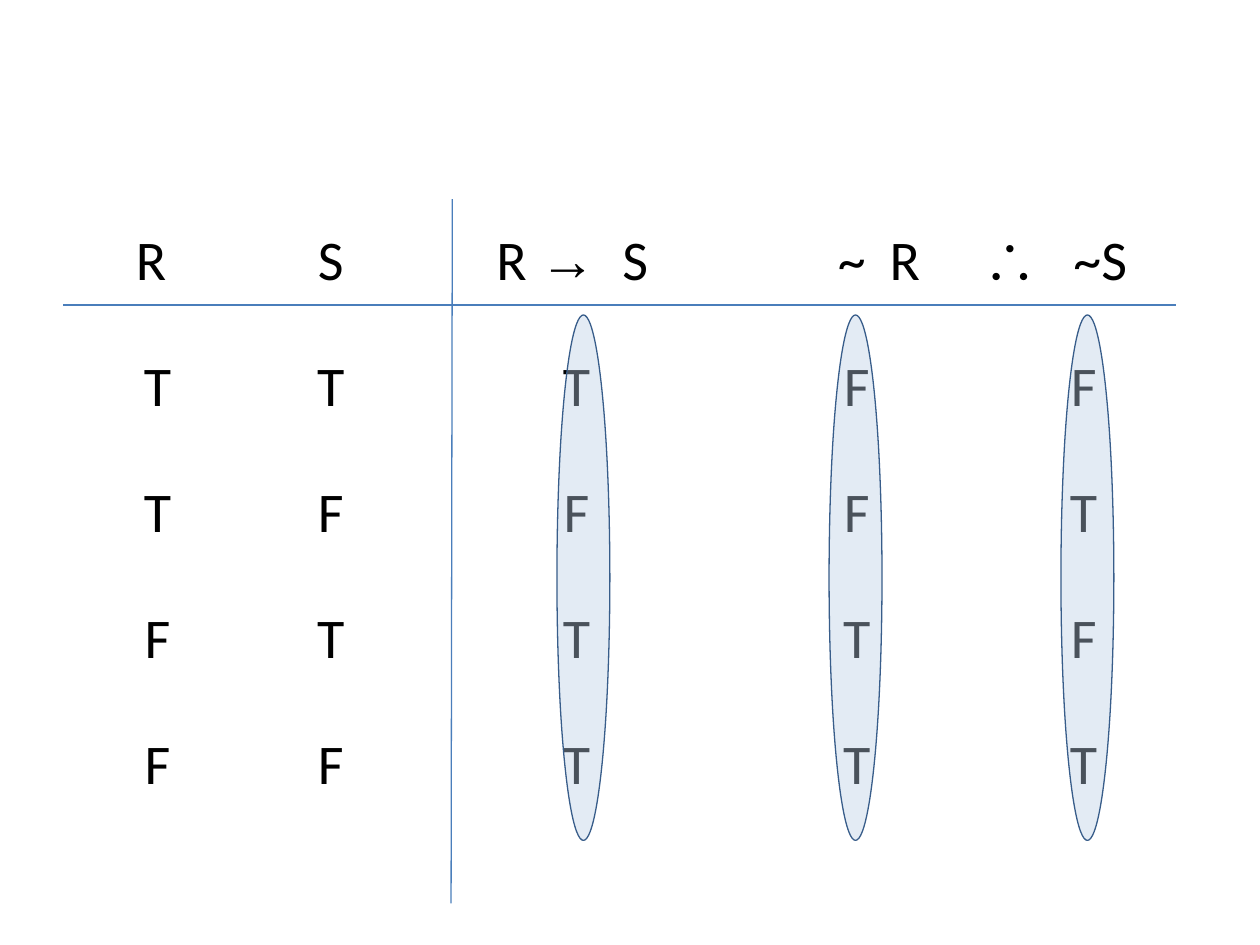
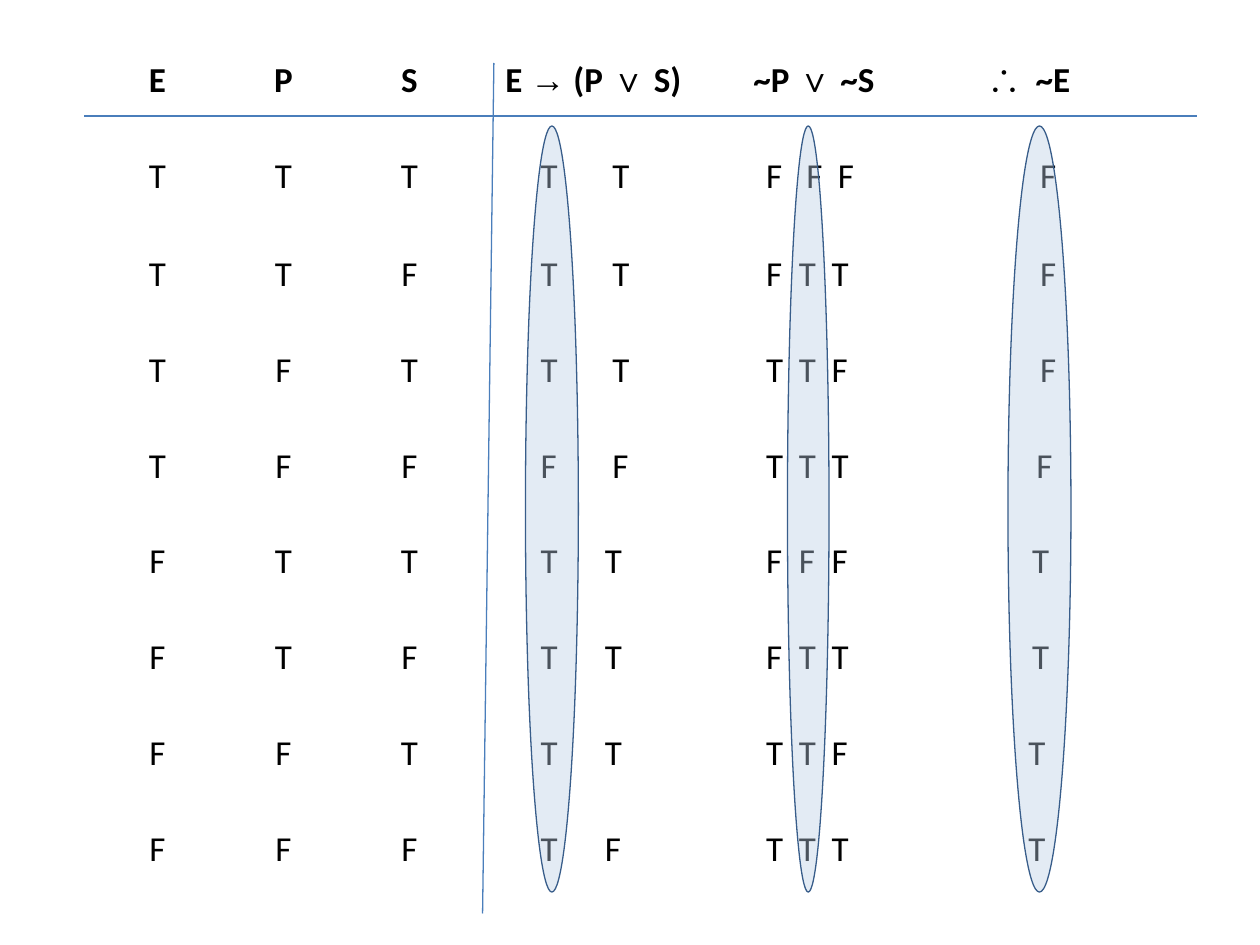
"""Builds two truth-table slides that test arguments for validity."""
from dataclasses import dataclass
from itertools import groupby, product

from lxml import etree
from pptx import Presentation
from pptx.dml.color import RGBColor
from pptx.enum.shapes import MSO_CONNECTOR, MSO_SHAPE
from pptx.enum.text import PP_ALIGN
from pptx.oxml.ns import qn
from pptx.util import Inches, Pt

LEFT, CENTER = PP_ALIGN.LEFT, PP_ALIGN.CENTER
STRAIGHT, OVAL = MSO_CONNECTOR.STRAIGHT, MSO_SHAPE.OVAL


@dataclass(frozen=True)
class Theme:
    ink: RGBColor = RGBColor.from_string("000000")
    rule: RGBColor = RGBColor.from_string("4A7EBB")
    ring: RGBColor = RGBColor.from_string("B9CDE5")
    edge: RGBColor = RGBColor.from_string("385D8A")
    alpha: int = 40000
    body: str = "Calibri"
    logic: str = "Arial"
    large: int = 32
    small: int = 20
    pad: float = 0.1


theme = Theme()


def put(cell, text, size=theme.small, bold=False, left=theme.pad,
        right=theme.pad, stops=(), align=CENTER):
    cell.fill.background()
    cell.margin_left, cell.margin_right = Inches(left), Inches(right)
    para = cell.text_frame.paragraphs[0]
    para.alignment = align
    if stops:
        tabs = etree.SubElement(para._p.get_or_add_pPr(), qn("a:tabLst"))
        for stop in stops:
            etree.SubElement(tabs, qn("a:tab"), pos=str(Inches(stop)), algn="l")
    for logic, chars in groupby(text, key=lambda char: char in "→∨∴"):
        run = para.add_run()
        run.text = "".join(chars)
        run.font.name = theme.logic if logic else theme.body
        run.font.size, run.font.bold = Pt(size), bold
        run.font.color.rgb = theme.ink


short = {
    "size": theme.large, "bold": False,
    "at": (0.5, 1.75), "cols": (1.5, 1.25, 2.65, 1.8, 1.8), "rows": [1] * 5,
    "grid": [["R", "S", "R →\tS", "~\tR", "∴\t~S"]],
    "starts": {(0, 2): (3.94, 4.94), (0, 3): (6.65, 7.06), (0, 4): (7.8, 8.52)},
    "pads": {(0, 0): {"right": 0.2}},
    "rules": [(3.59, 1.58, 3.58, 7.17), (0.5, 2.42, 9.33, 2.42)],
    "rings": [(4.42, 0.42), (6.58, 0.42), (8.42, 0.42)], "top": 2.5, "tall": 4.17,
}
for pair, ends in zip(product("TF", repeat=2), ("TFF", "FFT", "TTF", "TTT")):
    short["grid"].append([*pair, *ends])

long = {
    "size": theme.small, "bold": True,
    "at": (0.75, 0.42), "cols": (1, 1, 1, 1.92, 1.58, 1.83),
    "rows": [0.76, 0.78] + [0.76] * 7,
    "grid": [["E", "P", "S", "E → (P ∨ S)", "~P ∨ ~S", "∴\t~E"]],
    "starts": {(0, 5): (7.83, 8.22)}, "pads": {},
    "rules": [(3.92, 0.5, 3.83, 7.25), (0.67, 0.92, 9.5, 0.92)],
    "rings": [(4.17, 0.42), (6.25, 0.33), (8, 0.5)], "top": 1, "tall": 6.08,
}
ends = ("TT FFF F", "TT FTT F", "TT TTF F", "FF TTT F",
        "TT FFF T", "TT FTT T", "TT TTF T", "TF TTT T")
shifts = (0.41, 0.41, 0.41, 0.35, 0.29, 0.29, 0.23, 0.23)
for row, (trio, end, shift) in enumerate(zip(product("TF", repeat=3), ends, shifts), 1):
    long["grid"].append([*trio, *("\t".join(part) for part in end.split())])
    long["starts"][row, 3] = (4.29, 4.86 if row < 5 else 4.8)
    long["starts"][row, 4] = (6.08, 6.4, 6.65) if row == 1 else (6.08, 6.34, 6.6)
    long["pads"][row, 5] = {"left": shift}

deck = Presentation()
deck.slide_width, deck.slide_height = Inches(10), Inches(7.5)

for plan in (short, long):
    slide = deck.slides.add_slide(deck.slide_layouts[6])
    cols, rows = plan["cols"], plan["rows"]
    x, y = plan["at"]
    table = slide.shapes.add_table(len(rows), len(cols), Inches(x), Inches(y),
                                   Inches(sum(cols)), Inches(sum(rows))).table
    table.first_row = table.horz_banding = False
    for col, wide in zip(table.columns, cols):
        col.width = Inches(wide)
    for row, high in zip(table.rows, rows):
        row.height = Inches(high)

    for r, line in enumerate(plan["grid"]):
        for c, text in enumerate(line):
            look = dict(plan["pads"].get((r, c), {}))
            if (r, c) in plan["starts"]:
                first, *rest = plan["starts"][r, c]
                look = {"left": first - x - sum(cols[:c]), "right": 0,
                        "stops": [start - first for start in rest], "align": LEFT}
            put(table.cell(r, c), text, size=plan["size"],
                bold=plan["bold"] and r == 0, **look)

    for ends in plan["rules"]:
        rule = slide.shapes.add_connector(STRAIGHT, *map(Inches, ends))
        rule.line.color.rgb, rule.line.width = theme.rule, Pt(0.75)
        etree.SubElement(rule._element.spPr, qn("a:effectLst"))

    for start, wide in plan["rings"]:
        ring = slide.shapes.add_shape(OVAL, Inches(start), Inches(plan["top"]),
                                      Inches(wide), Inches(plan["tall"]))
        ring.shadow.inherit = False
        ring.fill.solid()
        ring.fill.fore_color.rgb = theme.ring
        tint = ring._element.spPr.find(qn("a:solidFill"))[0]
        etree.SubElement(tint, qn("a:alpha"), val=str(theme.alpha))
        ring.line.color.rgb, ring.line.width = theme.edge, Pt(0)

deck.save("out.pptx")
